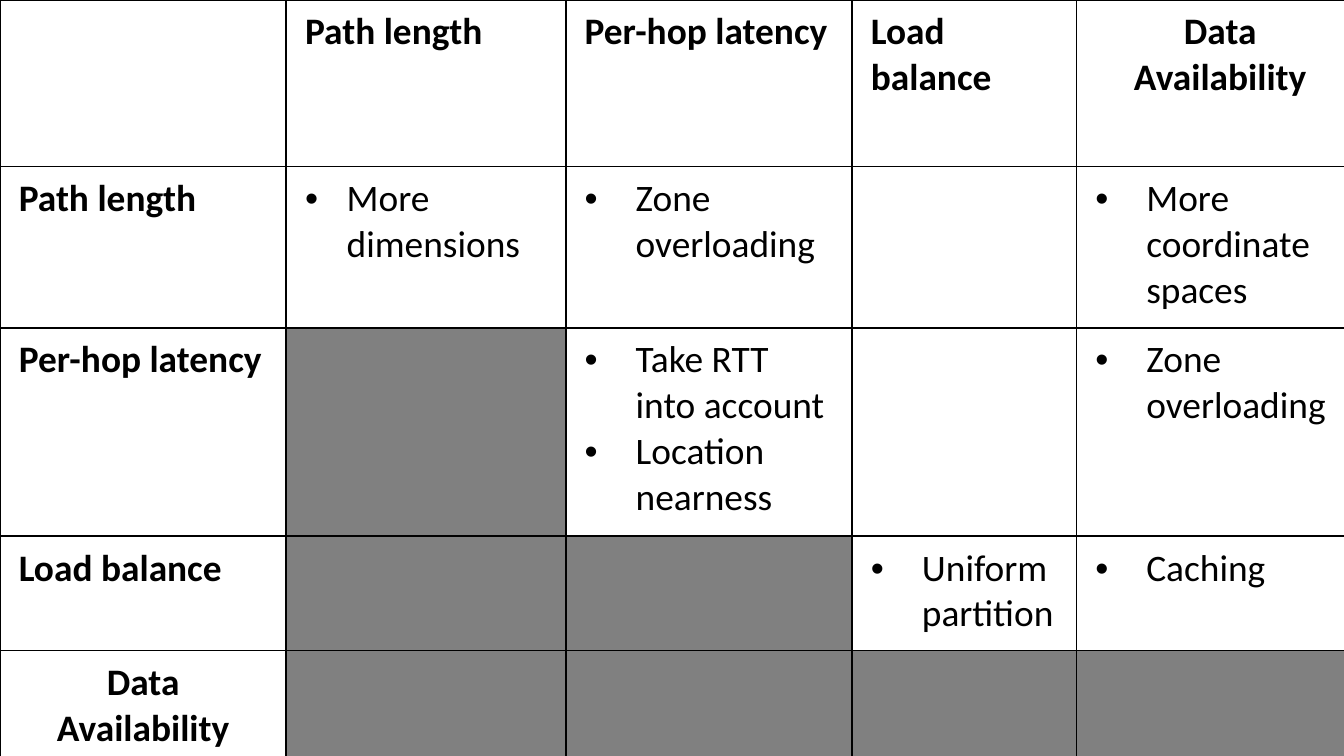
import pptx
import pptx.dml.color
import pptx.enum.text
import pptx.oxml.ns
import pptx.util
from lxml import etree
from pptx.util import Inches

BLACK = pptx.dml.color.RGBColor(0x00, 0x00, 0x00)
WHITE = pptx.dml.color.RGBColor(0xFF, 0xFF, 0xFF)
GRAY = pptx.dml.color.RGBColor(0x80, 0x80, 0x80)

METRICS = ["Path length", "Per-hop latency", "Load balance", "Data Availability"]
COLUMN_WIDTHS = [2.13, 2.08, 2.13, 1.67, 2.14]
ROW_HEIGHTS = [1.24, 1.2, 1.55, 0.85, 0.55]

# Techniques that improve both the row metric and the column metric
TECHNIQUES = {
    (1, 1): ["More dimensions"],
    (1, 2): ["Zone overloading"],
    (1, 4): ["More coordinate spaces"],
    (2, 2): ["Take RTT into account", "Location nearness"],
    (2, 4): ["Zone overloading"],
    (3, 3): ["Uniform partition"],
    (3, 4): ["Caching"],
}


def add_borders(cell):
    properties = cell._tc.get_or_add_tcPr()
    for side in ("a:lnL", "a:lnR", "a:lnT", "a:lnB"):
        line = etree.SubElement(properties, pptx.oxml.ns.qn(side), w=str(pptx.util.Pt(1)))
        fill = etree.SubElement(line, pptx.oxml.ns.qn("a:solidFill"))
        etree.SubElement(fill, pptx.oxml.ns.qn("a:srgbClr"), val=str(BLACK))


def add_bullet(paragraph, indent):
    properties = paragraph._p.get_or_add_pPr()
    properties.set("marL", str(Inches(indent)))
    properties.set("indent", str(-Inches(indent)))
    bullet_font = etree.Element(pptx.oxml.ns.qn("a:buFont"), typeface="Arial")
    bullet = etree.Element(pptx.oxml.ns.qn("a:buChar"), char="•")
    properties.insert(0, bullet_font)
    properties.insert(1, bullet)


# Widescreen slide, 16:9
presentation = pptx.Presentation()
presentation.slide_width = Inches(10)
presentation.slide_height = Inches(10) * 9 // 16
slide = presentation.slides.add_slide(presentation.slide_layouts[6])

# Table grid
table = slide.shapes.add_table(
    len(ROW_HEIGHTS), len(COLUMN_WIDTHS), 0, 0,
    Inches(sum(COLUMN_WIDTHS)), Inches(sum(ROW_HEIGHTS)),
).table
for column, width in zip(table.columns, COLUMN_WIDTHS):
    column.width = Inches(width)
for row, height in zip(table.rows, ROW_HEIGHTS):
    row.height = Inches(height)

# Cells: headings on the edges, techniques inside, gray where no entry is needed
for row_index in range(len(ROW_HEIGHTS)):
    for column_index in range(len(COLUMN_WIDTHS)):
        cell = table.cell(row_index, column_index)
        cell.margin_left = cell.margin_right = Inches(0.14)
        cell.margin_top = cell.margin_bottom = Inches(0.07)
        add_borders(cell)
        below_diagonal = 0 < column_index < row_index
        is_last_corner = row_index == column_index == len(METRICS)
        cell.fill.solid()
        cell.fill.fore_color.rgb = GRAY if below_diagonal or is_last_corner else WHITE

        is_heading = (row_index == 0) != (column_index == 0)
        if is_heading:
            lines = [METRICS[max(row_index, column_index) - 1]]
        else:
            lines = TECHNIQUES.get((row_index, column_index), [])
        if not lines:
            continue

        cell.text = "\n".join(lines)
        for paragraph in cell.text_frame.paragraphs:
            paragraph.font.name = "Calibri"
            paragraph.font.size = pptx.util.Pt(20)
            paragraph.font.bold = is_heading
            paragraph.font.color.rgb = BLACK
            if not is_heading:
                add_bullet(paragraph, 0.31 if column_index == 1 else 0.38)
            elif lines[0] == METRICS[-1]:
                paragraph.alignment = pptx.enum.text.PP_ALIGN.CENTER

presentation.save("out.pptx")
